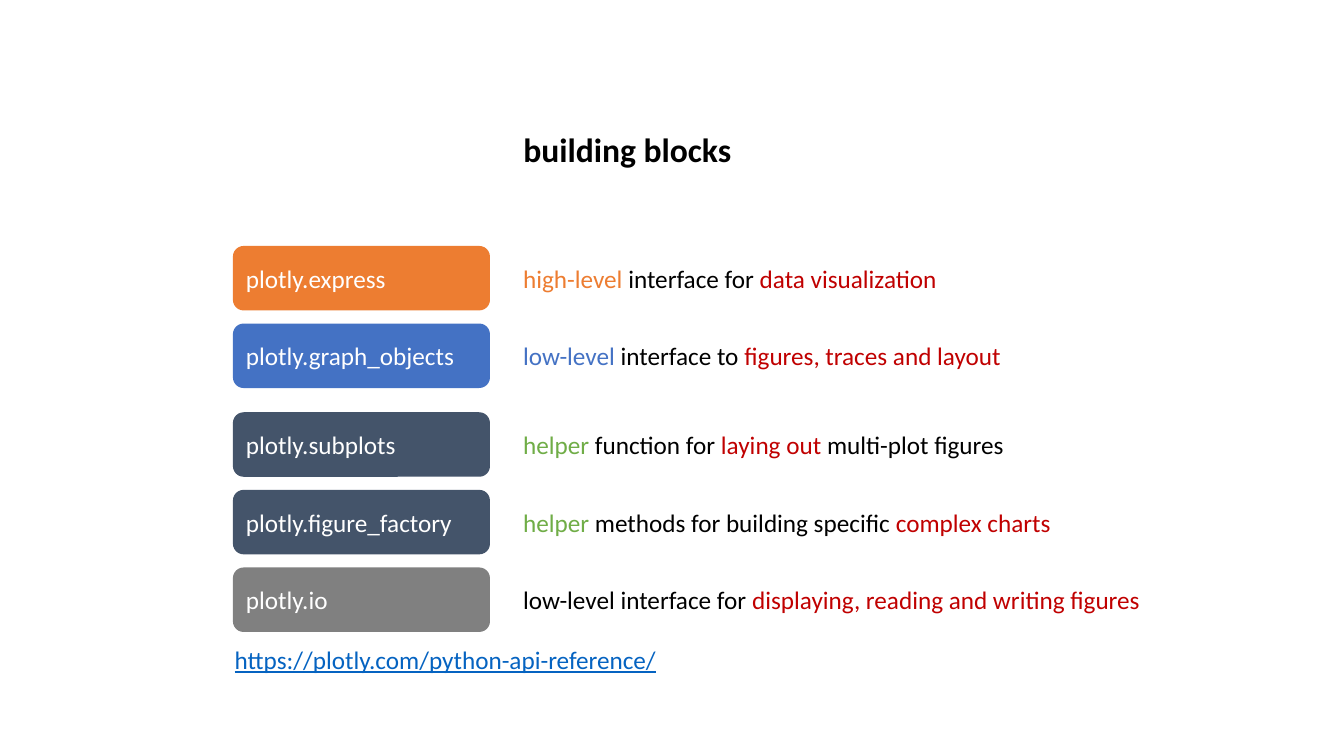
import pptx
import pptx.util
import pptx.dml.color
import pptx.enum.shapes
import pptx.enum.text

Inches = pptx.util.Inches
BLACK, RED, WHITE = "000000", "C00000", "FFFFFF"
ORANGE, BLUE, GREEN = "ED7D31", "4472C4", "70AD47"
SLATE, GRAY, LINK = "44546A", "808080", "0563C1"
TOP, STEP, GAP = 2.44, 0.77, 0.11

BLOCKS = [
    ("plotly.express", ORANGE, 0,
     [("high-level", ORANGE), (" interface for ", BLACK), ("data visualization", RED)]),
    ("plotly.graph_objects", BLUE, 0,
     [("low-level", BLUE), (" interface to ", BLACK), ("figures, traces and layout", RED)]),
    ("plotly.subplots", SLATE, GAP,
     [("helper", GREEN), (" function for ", BLACK), ("laying out ", RED),
      ("multi-plot figures", BLACK)]),
    ("plotly.figure_factory", SLATE, GAP,
     [("helper", GREEN), (" methods for building specific ", BLACK), ("complex charts", RED)]),
    ("plotly.io", GRAY, GAP,
     [("low-level interface for ", BLACK), ("displaying, reading and writing figures", RED)]),
]


def color(code):
    """Turn a hex string into a colour."""
    return pptx.dml.color.RGBColor.from_string(code)


def write(frame, parts, anchor, **extra):
    """Fill a text frame with coloured runs."""
    layout = {"word_wrap": True, "vertical_anchor": anchor,
              "auto_size": pptx.enum.text.MSO_AUTO_SIZE.NONE}
    for key, value in layout.items():
        setattr(frame, key, value)
    line = frame.paragraphs[0]
    line.alignment = pptx.enum.text.PP_ALIGN.LEFT
    look = {"name": "Calibri", "size": pptx.util.Pt(18), **extra}
    for text, code in parts:
        run = line.add_run()
        run.text = text
        run.font.color.rgb = color(code)
        for key, value in look.items():
            setattr(run.font, key, value)


def head(slide, text):
    """Place the title."""
    title = slide.shapes.title
    place = {"left": 5.09, "top": 1.23, "width": 2.6, "height": 0.5}
    for key, value in place.items():
        setattr(title, key, Inches(value))
    write(title.text_frame, [(text, BLACK)], pptx.enum.text.MSO_ANCHOR.TOP,
          size=pptx.util.Pt(24), bold=True)


def label(slide, left, top, width, parts, **extra):
    """Add a line of plain text."""
    box = slide.shapes.add_textbox(Inches(left), Inches(top), Inches(width), Inches(0.4))
    write(box.text_frame, parts, pptx.enum.text.MSO_ANCHOR.TOP, **extra)


def block(slide, top, name, fill):
    """Add a rounded block with a module name."""
    shape = slide.shapes.add_shape(
        pptx.enum.shapes.MSO_SHAPE.ROUNDED_RECTANGLE,
        Inches(2.31), Inches(top), Inches(2.55), Inches(0.64))
    shape.shadow.inherit = False
    shape.fill.solid()
    shape.fill.fore_color.rgb = color(fill)
    shape.line.fill.background()
    write(shape.text_frame, [(name, WHITE)], pptx.enum.text.MSO_ANCHOR.MIDDLE)


def main():
    """Build the slide and save it."""
    deck = pptx.Presentation()
    deck.slide_width, deck.slide_height = Inches(13.33), Inches(7.5)
    slide = deck.slides.add_slide(deck.slide_layouts[5])
    head(slide, "building blocks")
    label(slide, 2.23, 6.34, 4.6, [("https://plotly.com/python-api-reference/", LINK)],
          underline=True)
    for row, (name, fill, shift, parts) in enumerate(BLOCKS):
        top = TOP + row * STEP + shift
        block(slide, top, name, fill)
        label(slide, 5.09, top + 0.12, 6.67, parts)
    deck.save("out.pptx")


if __name__ == "__main__":
    main()
